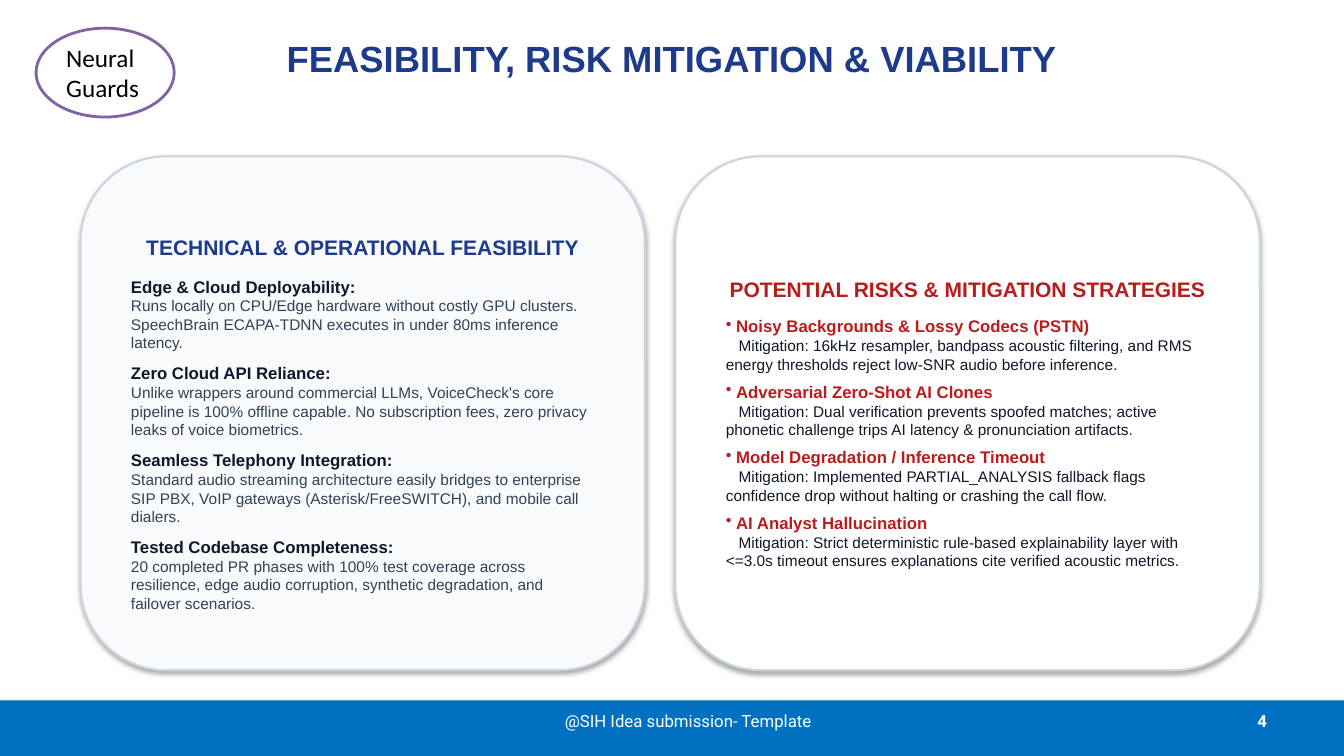
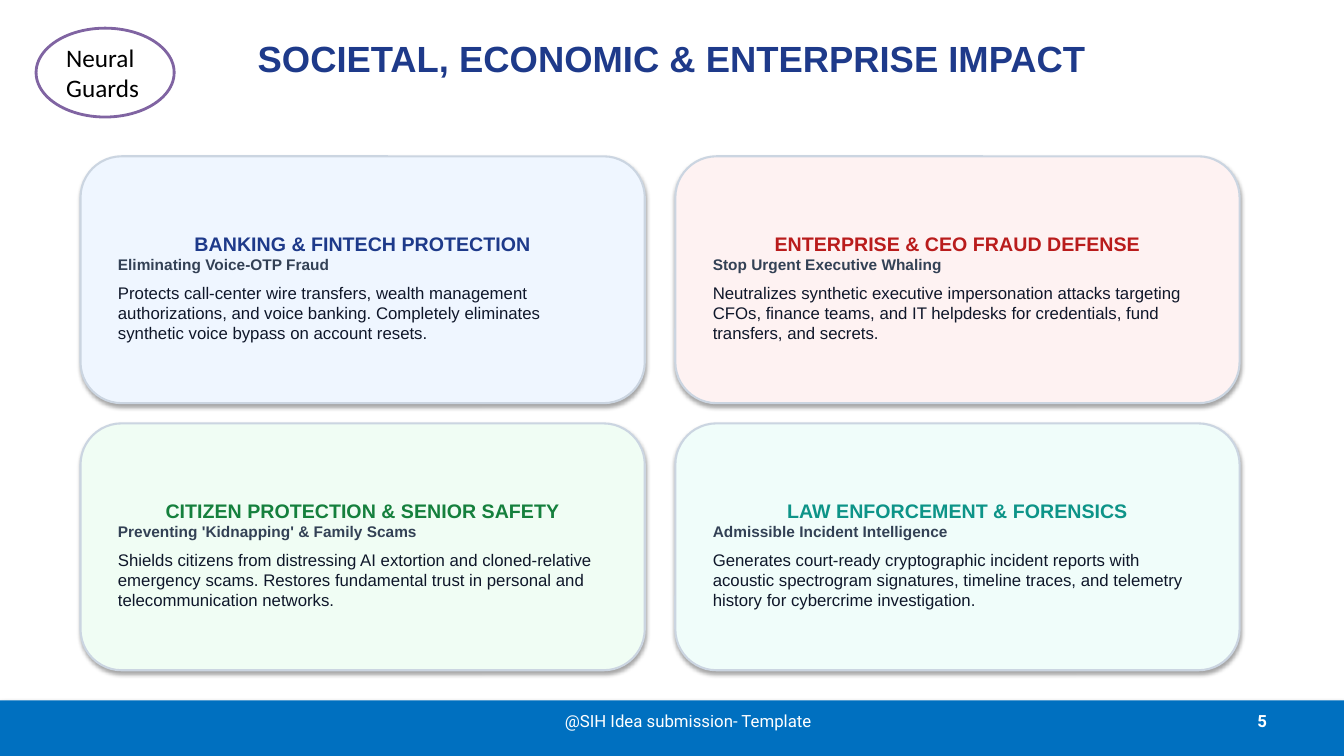
from pptx import Presentation
from pptx.dml.color import RGBColor
from pptx.enum.shapes import MSO_SHAPE as Preset
from pptx.enum.text import MSO_ANCHOR as Anchor, PP_ALIGN as Align
from pptx.util import Cm, Pt

COLORS = {
    "white": "FFFFFF", "black": "000000", "band": "0070C0", "badge": "8064A2",
    "border": "CBD5E1", "ink": "0F172A", "slate": "334155", "mist": "F8FAFC",
    "navy": "1E3A8A", "red": "B91C1C", "green": "15803D", "teal": "0D9488",
    "pale_blue": "EFF6FF", "pale_red": "FEF2F2",
    "pale_green": "F0FDF4", "pale_teal": "F0FDFA",
}


def add_text(shape, text, size=12, color="ink", bold=False, font="Arial",
             align=Align.LEFT, after=0, margin=0, indent=0, bullet=False):
    frame = shape.text_frame
    frame.word_wrap = True
    frame.vertical_anchor = Anchor.MIDDLE
    paragraph = frame.paragraphs[0] if not frame.text else frame.add_paragraph()
    paragraph.alignment = align
    paragraph.space_after = Pt(after)
    properties = paragraph._p.get_or_add_pPr()
    properties.set("marL", str(Cm(margin)))
    properties.set("indent", str(Cm(indent)))
    if bullet:
        mark = properties.makeelement(
            "{http://schemas.openxmlformats.org/drawingml/2006/main}buChar", {"char": "•"})
        properties.append(mark)
    run = paragraph.add_run()
    run.text = text
    run.font.name = font
    run.font.size = Pt(size)
    run.font.bold = bold
    run.font.color.rgb = RGBColor.from_string(COLORS[color])


def add_panel(slide, preset, box, fill, line=None, width=1.5, inset_top=None):
    shape = slide.shapes.add_shape(preset, *map(Cm, box))
    shape.fill.solid()
    shape.fill.fore_color.rgb = RGBColor.from_string(COLORS[fill])
    if line:
        shape.line.color.rgb = RGBColor.from_string(COLORS[line])
        shape.line.width = Pt(width)
    else:
        shape.line.fill.background()
    if inset_top:
        frame = shape.text_frame
        frame.margin_left = frame.margin_right = Cm(0.64)
        frame.margin_top = Cm(inset_top)
        frame.margin_bottom = Cm(0.13)
    return shape


presentation = Presentation()
presentation.slide_width = Cm(33.87)
presentation.slide_height = Cm(19.05)

LEFT, TOP = 2.03, 3.94
CARD_WIDTH, CARD_HEIGHT = 14.22, 6.22
GAP_X, GAP_Y = 0.77, 0.51
FULL_HEIGHT = 2 * CARD_HEIGHT + GAP_Y
FIRST_NUMBER = 4

titles = [
    "FEASIBILITY, RISK MITIGATION & VIABILITY",
    "SOCIETAL, ECONOMIC & ENTERPRISE IMPACT",
]

slides = []
for number, title in enumerate(titles, FIRST_NUMBER):
    slide = presentation.slides.add_slide(presentation.slide_layouts[6])
    slides.append(slide)
    add_panel(slide, Preset.RECTANGLE, (0, 17.65, 33.87, 1.4), "band")
    labels = [
        ((1.7, -0.13, 30.48, 3.18), title,
         dict(size=26, color="navy", bold=True, align=Align.CENTER)),
        ((24.28, 17.65, 7.9, 1.02), str(number),
         dict(color="white", bold=True, font="Roboto", align=Align.RIGHT)),
        ((12.9, 17.65, 8.89, 1.02), "@SIH Idea submission- Template",
         dict(color="white", font="Roboto", align=Align.CENTER)),
    ]
    for box, text, style in labels:
        add_text(slide.shapes.add_textbox(*map(Cm, box)), text, **style)
    badge = add_panel(slide, Preset.OVAL, (0.91, 0.71, 3.48, 2.24), "white", "badge", 2)
    badge.shadow.inherit = False
    add_text(badge, "Neural Guards", size=18, color="black", font="Calibri")

feasibility_slide, impact_slide = slides

feasibility = [
    ("Edge & Cloud Deployability:",
     "Runs locally on CPU/Edge hardware without costly GPU clusters. "
     "SpeechBrain ECAPA-TDNN executes in under 80ms inference latency."),
    ("Zero Cloud API Reliance:",
     "Unlike wrappers around commercial LLMs, VoiceCheck's core pipeline is 100% "
     "offline capable. No subscription fees, zero privacy leaks of voice biometrics."),
    ("Seamless Telephony Integration:",
     "Standard audio streaming architecture easily bridges to enterprise SIP PBX, "
     "VoIP gateways (Asterisk/FreeSWITCH), and mobile call dialers."),
    ("Tested Codebase Completeness:",
     "20 completed PR phases with 100% test coverage across resilience, edge audio "
     "corruption, synthetic degradation, and failover scenarios."),
]
risks = [
    ("Noisy Backgrounds & Lossy Codecs (PSTN)",
     "Mitigation: 16kHz resampler, bandpass acoustic filtering, and RMS energy "
     "thresholds reject low-SNR audio before inference."),
    ("Adversarial Zero-Shot AI Clones",
     "Mitigation: Dual verification prevents spoofed matches; active phonetic "
     "challenge trips AI latency & pronunciation artifacts."),
    ("Model Degradation / Inference Timeout",
     "Mitigation: Implemented PARTIAL_ANALYSIS fallback flags confidence drop "
     "without halting or crashing the call flow."),
    ("AI Analyst Hallucination",
     "Mitigation: Strict deterministic rule-based explainability layer with <=3.0s "
     "timeout ensures explanations cite verified acoustic metrics."),
]
columns = [
    ("TECHNICAL & OPERATIONAL FEASIBILITY", feasibility, CARD_WIDTH, "mist",
     dict(color="navy", after=12), dict(color="ink"), dict(color="slate", after=8)),
    ("POTENTIAL RISKS & MITIGATION STRATEGIES", risks, 14.73, "white",
     dict(color="red", after=10),
     dict(color="red", margin=0.26, indent=-0.26, bullet=True),
     dict(color="ink", after=6, indent=0.32)),
]
for column, (heading, items, width, fill, heading_style, item_style, body_style) in enumerate(columns):
    box = (LEFT + column * (CARD_WIDTH + GAP_X), TOP, width, FULL_HEIGHT)
    card = add_panel(feasibility_slide, Preset.ROUNDED_RECTANGLE, box, fill, "border", inset_top=0.64)
    add_text(card, heading, size=15, bold=True, align=Align.CENTER, **heading_style)
    for item, body in items:
        add_text(card, item, bold=True, **item_style)
        add_text(card, body, size=11, **body_style)

impacts = [
    ("BANKING & FINTECH PROTECTION", "navy", "pale_blue", "Eliminating Voice-OTP Fraud",
     "Protects call-center wire transfers, wealth management authorizations, and voice "
     "banking. Completely eliminates synthetic voice bypass on account resets."),
    ("ENTERPRISE & CEO FRAUD DEFENSE", "red", "pale_red", "Stop Urgent Executive Whaling",
     "Neutralizes synthetic executive impersonation attacks targeting CFOs, finance "
     "teams, and IT helpdesks for credentials, fund transfers, and secrets."),
    ("CITIZEN PROTECTION & SENIOR SAFETY", "green", "pale_green",
     "Preventing 'Kidnapping' & Family Scams",
     "Shields citizens from distressing AI extortion and cloned-relative emergency scams. "
     "Restores fundamental trust in personal and telecommunication networks."),
    ("LAW ENFORCEMENT & FORENSICS", "teal", "pale_teal", "Admissible Incident Intelligence",
     "Generates court-ready cryptographic incident reports with acoustic spectrogram "
     "signatures, timeline traces, and telemetry history for cybercrime investigation."),
]
for index, (heading, color, fill, subtitle, body) in enumerate(impacts):
    row, column = divmod(index, 2)
    box = (LEFT + column * (CARD_WIDTH + GAP_X), TOP + row * (CARD_HEIGHT + GAP_Y),
           CARD_WIDTH, CARD_HEIGHT)
    card = add_panel(impact_slide, Preset.ROUNDED_RECTANGLE, box, fill, "border", inset_top=0.51)
    add_text(card, heading, size=14, color=color, bold=True, align=Align.CENTER)
    add_text(card, subtitle, size=11, color="slate", bold=True, after=6)
    add_text(card, body)

presentation.save("out.pptx")
